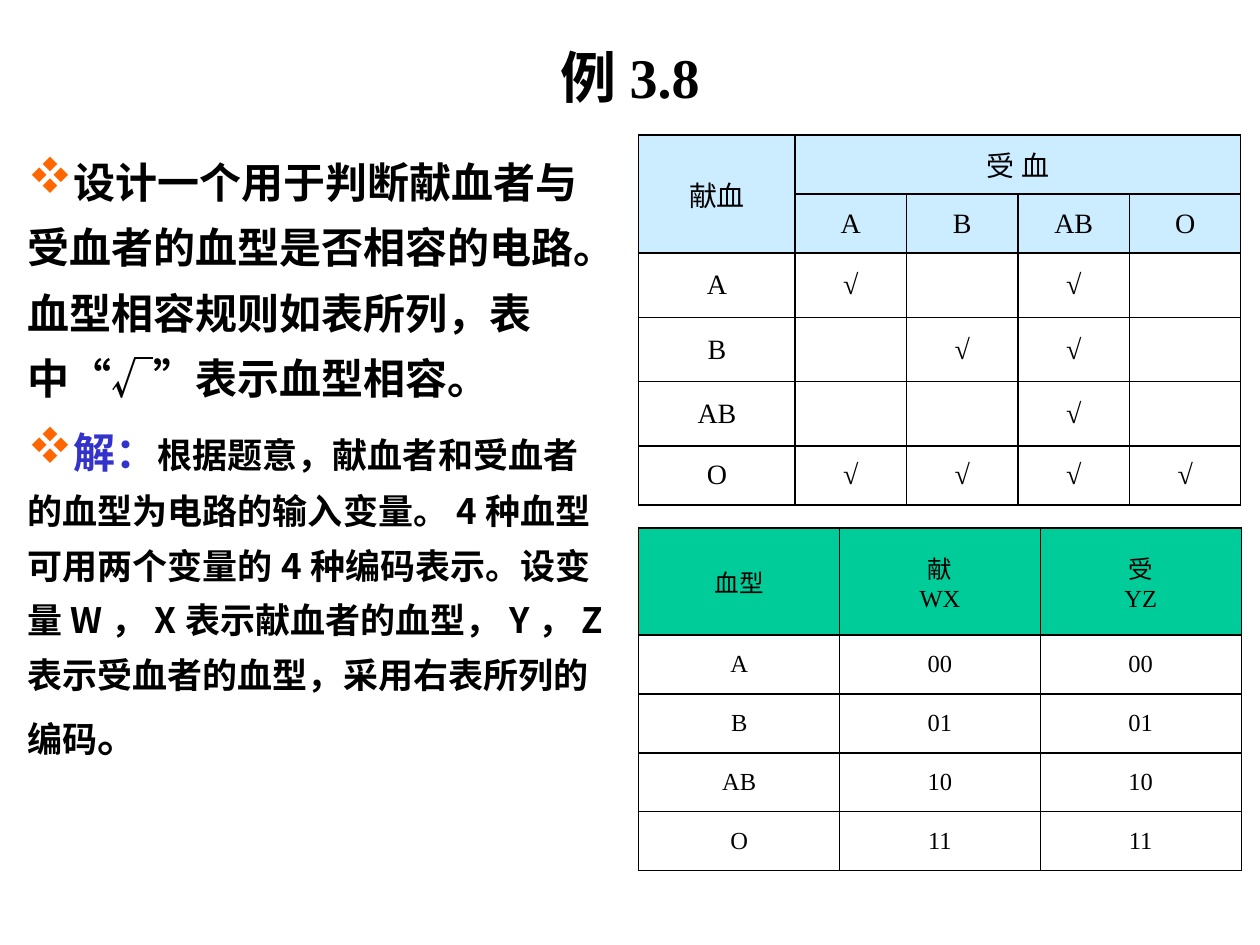
"""Build the blood-type compatibility example slide with its rule and code tables."""
from dataclasses import dataclass, field

from lxml.etree import SubElement
from pptx import Presentation
from pptx.dml.color import RGBColor
from pptx.enum.text import MSO_ANCHOR as Anchor, PP_ALIGN as Align
from pptx.oxml.ns import qn
from pptx.util import Inches, Pt

BLACK = RGBColor(0x00, 0x00, 0x00)
BLUE = RGBColor(0x33, 0x33, 0xCC)
ORANGE = RGBColor(0xFF, 0x66, 0x00)
PALE_BLUE = RGBColor(0xCC, 0xEC, 0xFF)
GREEN = RGBColor(0x00, 0xCC, 0x99)
SERIF = "Times New Roman"
SANS = "Noto Sans CJK SC"


@dataclass
class Phrase:
    text: str
    size: int = 24
    color: RGBColor = BLACK
    font: str = SERIF


@dataclass
class Grid:
    top: float
    height: float
    columns: list[float]
    heights: list[float]
    rows: list[list[str]]
    header_rows: int
    header_fill: RGBColor
    size: int
    merges: list[tuple[int, int, int, int]] = field(default_factory=list)


TITLE = Phrase("例3.8", 32)
STATEMENTS = [
    [Phrase("设计一个用于判断献血者与受血者的血型是否相容的电路。"
            "血型相容规则如表所列，表中“√”表示血型相容。")],
    [Phrase("解：", color=BLUE),
     Phrase("根据题意，献血者和受血者的血型为电路的输入变量。"
            "4种血型可用两个变量的4种编码表示。设变量W，X表示献血者的血型，"
            "Y，Z表示受血者的血型，采用右表所列的编码", 20, font=SANS),
     Phrase("。")],
]
TYPES = ["A", "B", "AB", "O"]
RECEIVERS = {"A": ["A", "AB"], "B": ["B", "AB"], "AB": ["AB"], "O": TYPES}
GRID_LEFT, GRID_WIDTH, DONOR_WIDTH = 5.07, 4.78, 1.24
CODE_HEIGHT, CODE_HEADER = 2.72, 0.85

RULES = Grid(
    1.07, 2.94,
    [DONOR_WIDTH] + [(GRID_WIDTH - DONOR_WIDTH) / 4] * 4,
    [0.47, 0.47, 0.51, 0.51, 0.51, 0.47],
    [["献血", "受 血", "", "", ""], ["", *TYPES]]
    + [[donor] + ["√" if t in RECEIVERS[donor] else "" for t in TYPES] for donor in TYPES],
    2, PALE_BLUE, 16, [(0, 0, 1, 0), (0, 1, 0, 4)])
CODES = Grid(
    4.19, CODE_HEIGHT,
    [GRID_WIDTH / 3] * 3,
    [CODE_HEADER] + [(CODE_HEIGHT - CODE_HEADER) / 4] * 4,
    [["血型", "献\nWX", "受\nYZ"]]
    + [[t, f"{code:02b}", f"{code:02b}"] for code, t in enumerate(TYPES)],
    1, GREEN, 14)


def style_run(run, phrase: Phrase, bold: bool = True) -> None:
    font = run.font
    font.size, font.bold, font.name = Pt(phrase.size), bold, phrase.font
    font.color.rgb = phrase.color
    SubElement(run._r.get_or_add_rPr(), qn("a:ea"), typeface=SANS)


def add_frame(slide, left: float, top: float, width: float, height: float):
    frame = slide.shapes.add_textbox(
        Inches(left), Inches(top), Inches(width), Inches(height)).text_frame
    frame.word_wrap = True
    return frame


def add_bullet(paragraph) -> None:
    properties = paragraph._p.get_or_add_pPr()
    color = SubElement(properties, qn("a:buClr"))
    SubElement(color, qn("a:srgbClr"), val=str(ORANGE))
    SubElement(properties, qn("a:buSzPct"), val="120000")
    SubElement(properties, qn("a:buFont"), typeface="Wingdings", charset="2")
    SubElement(properties, qn("a:buChar"), char="v")


def add_title(slide) -> None:
    frame = add_frame(slide, 0.75, 0.44, 8.5, 0.33)
    frame.vertical_anchor = Anchor.MIDDLE
    frame.text = TITLE.text
    heading = frame.paragraphs[0]
    heading.alignment = Align.CENTER
    style_run(heading.runs[0], TITLE)


def add_statements(slide) -> None:
    frame = add_frame(slide, 0.12, 1.07, 4.78, 6.06)
    for index, phrases in enumerate(STATEMENTS):
        statement = frame.add_paragraph() if index else frame.paragraphs[0]
        statement.line_spacing = 1.3
        statement.space_before = Pt(4.8)
        add_bullet(statement)
        for phrase in phrases:
            run = statement.add_run()
            run.text = phrase.text
            style_run(run, phrase)


def border_cell(cell, first: bool, last: bool) -> None:
    properties = cell._tc.get_or_add_tcPr()
    widths = {"L": 0.75 if first else 1, "R": 0.75 if last else 1, "T": 1, "B": 1}
    for side, width in widths.items():
        line = SubElement(properties, qn(f"a:ln{side}"), w=str(Pt(width)))
        fill = SubElement(line, qn("a:solidFill"))
        SubElement(fill, qn("a:srgbClr"), val=str(BLACK))


def add_grid(slide, grid: Grid) -> None:
    table = slide.shapes.add_table(
        len(grid.rows), len(grid.columns), Inches(GRID_LEFT), Inches(grid.top),
        Inches(GRID_WIDTH), Inches(grid.height)).table
    table.first_row = table.horz_banding = False
    for top, left, bottom, right in grid.merges:
        table.cell(top, left).merge(table.cell(bottom, right))
    for column, width in zip(table.columns, grid.columns):
        column.width = Inches(width)
    for r, (height, texts) in enumerate(zip(grid.heights, grid.rows)):
        table.rows[r].height = Inches(height)
        for c, text in enumerate(texts):
            cell = table.cell(r, c)
            border_cell(cell, c == 0, c + cell.span_width == len(texts))
            if r < grid.header_rows:
                cell.fill.solid()
                cell.fill.fore_color.rgb = grid.header_fill
            else:
                cell.fill.background()
            cell.vertical_anchor = Anchor.MIDDLE
            cell.text_frame.text = text
            for paragraph in cell.text_frame.paragraphs:
                paragraph.alignment = Align.CENTER
                for run in paragraph.runs:
                    style_run(run, Phrase(run.text, grid.size), bold=False)


def main() -> None:
    deck = Presentation()
    deck.slide_width, deck.slide_height = Inches(10), Inches(7.5)
    slide = deck.slides.add_slide(deck.slide_layouts[6])
    add_title(slide)
    add_statements(slide)
    for grid in (RULES, CODES):
        add_grid(slide, grid)
    deck.save("out.pptx")


if __name__ == "__main__":
    main()
